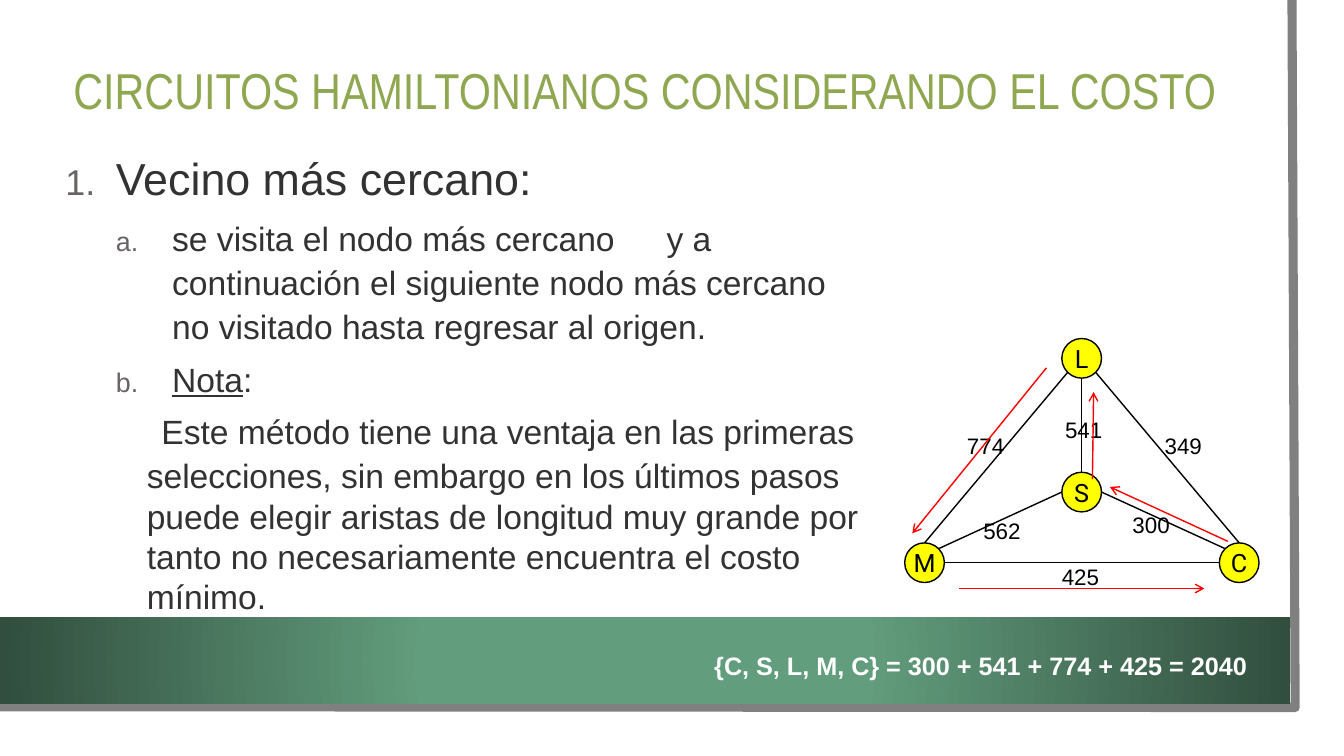
from math import cos, radians, sin

from lxml import etree
from pptx import Presentation
from pptx.dml.color import RGBColor
from pptx.enum.shapes import MSO_CONNECTOR, MSO_SHAPE
from pptx.enum.text import MSO_ANCHOR, MSO_AUTO_SIZE, PP_ALIGN
from pptx.oxml.ns import qn
from pptx.util import Cm, Pt

LINE = MSO_CONNECTOR.STRAIGHT
OVAL, RECT = MSO_SHAPE.OVAL, MSO_SHAPE.RECTANGLE
TOP, MIDDLE = MSO_ANCHOR.TOP, MSO_ANCHOR.MIDDLE
LEFT, CENTER = PP_ALIGN.LEFT, PP_ALIGN.CENTER
INK, RED, BLACK = "323232", "FF0000", "000000"

SIZE = 1.0  # node diameter, cm
NODES = {"L": (4.46, 0.5), "S": (4.46, 3.87), "M": (0.5, 5.65), "C": (8.43, 5.65)}
# each end: node and the angle of its contact point, clockwise from the right
EDGES = [
    (("S", 270), ("L", 90)),
    (("S", 0), ("C", 225)),
    (("S", 180), ("M", 315)),
    (("M", 0), ("C", 180)),
    (("L", 135), ("M", 270)),
    (("L", 45), ("C", 270)),
]
COSTS = {
    "349": (6.55, 2.37), "425": (3.96, 5.67), "774": (1.57, 2.37),
    "562": (1.98, 4.5), "541": (4.04, 1.96), "300": (5.74, 4.35),
}
ROUTE = [
    ((8.14, 5.11), (5.17, 3.74)),
    ((4.73, 3.54), (4.76, 1.35)),
    ((3.57, 0.74), (0.19, 4.91)),
    ((1.38, 6.3), (7.55, 6.3)),
]


def color(code):
    return RGBColor.from_string(code)


def add_sub(parent, tag, **attrs):
    return etree.SubElement(parent, qn(tag), attrs)


def set_font(para, name, size, code, bold=False):
    font = para.font
    font.name, font.size, font.bold = name, Pt(size), bold
    font.color.rgb = color(code)


def set_frame(frame, anchor=TOP, wrap=True):
    frame.margin_left = frame.margin_right = 0
    frame.margin_top = frame.margin_bottom = 0
    frame.auto_size = MSO_AUTO_SIZE.NONE
    frame.vertical_anchor, frame.word_wrap = anchor, wrap


def add_text(slide, box, text, name, size, code, bold=False):
    frame = slide.shapes.add_textbox(*map(Cm, box)).text_frame
    set_frame(frame, wrap=False)
    frame.text = text
    set_font(frame.paragraphs[0], name, size, code, bold)


def add_line(slide, start, end, code, head=False):
    line = slide.shapes.add_connector(LINE, *map(Cm, start + end))
    line.line.color.rgb = color(code)
    line.line.width = Pt(1)
    if head:
        add_sub(line.line._get_or_add_ln(), "a:tailEnd", type="arrow")
    add_sub(line._element.spPr, "a:effectLst")


def draw_frame(slide, right, low):
    """Grey rule along the right and lower edges."""
    build = slide.shapes.build_freeform(Cm(right - 0.08), 0)
    corner, end = (Cm(right), Cm(low)), (0, Cm(low - 0.02))
    build.add_line_segments([corner, end], close=False)
    rule = build.convert_to_shape()
    rule.shadow.inherit = False
    rule.fill.background()
    rule.line.color.rgb = color("808080")
    rule.line.width = Pt(6.5)


def draw_band(slide, left, top, width, height):
    band = slide.shapes.add_shape(RECT, *map(Cm, (left, top, width, height)))
    band.shadow.inherit = False
    band.line.fill.background()
    band.fill.gradient()
    stops = zip(band.fill.gradient_stops, (0.34, 1), ("629D7D", "314E3E"))
    for stop, place, code in stops:
        stop.position = place
        stop.color.rgb = color(code)
    grad = band._element.spPr.find(qn("a:gradFill"))
    grad.remove(grad.find(qn("a:lin")))
    focus = add_sub(grad, "a:path", path="circle")
    add_sub(focus, "a:fillToRect", l="50000", t="50000", r="50000", b="50000")
    add_text(slide, (left + 18, top + 0.84, 13.77, 0.76),
             "{C, S, L, M, C} = 300 + 541 + 774 + 425 = 2040",
             "Arial", 18, "FFFFFF", True)


def draw_title(slide, left, top, width, height):
    title = slide.shapes.title
    title.left, title.top = Cm(left), Cm(top)
    title.width, title.height = Cm(width), Cm(height)
    frame = title.text_frame
    set_frame(frame, MIDDLE, wrap=False)
    frame.text = "CIRCUITOS HAMILTONIANOS CONSIDERANDO EL COSTO"
    para = frame.paragraphs[0]
    para.alignment = LEFT
    set_font(para, "Arial Narrow", 36, "8FA751")


def add_item(frame, runs, size, margin, indent, before=0, space=1.0,
             level=0, number=None, tab=None, right=0):
    """Add one paragraph; margin, indent, tab and right are in cm."""
    first = frame.paragraphs[0]
    para = frame.add_paragraph() if first.runs else first
    for text in runs:
        para.add_run().text = text
    para.level = level
    props = para._p.get_or_add_pPr()
    for key, value in (("marL", margin), ("indent", indent), ("marR", right)):
        props.set(key, str(Cm(value)))
    if number:
        tint = add_sub(props, "a:buClr")
        add_sub(tint, "a:srgbClr", val="696363")
        add_sub(props, "a:buSzPct", val="80000")
        add_sub(props, "a:buFont", typeface="Arial")
        add_sub(props, "a:buAutoNum", type=number)
    if tab:
        tabs = add_sub(props, "a:tabLst")
        add_sub(tabs, "a:tab", pos=str(Cm(tab)), algn="l")
    para.line_spacing = space
    if before:
        para.space_before = Pt(before)
    set_font(para, "Arial", size, INK)
    return para


def draw_body(slide, left, top, width, height):
    box = slide.shapes.add_textbox(*map(Cm, (left, top, width, height)))
    frame = box.text_frame
    set_frame(frame)
    add_item(frame, ["Vecino más cercano:"], 32, 1.35, -1.27,
             number="arabicPeriod")
    sub = {"level": 1, "number": "alphaLcPeriod"}
    add_item(frame, ["se visita el nodo más cercano\ty a continuación el "
                     "siguiente nodo más cercano no visitado hasta regresar "
                     "al origen."],
             24, 2.77, -1.42, 6.8, 1.1, tab=15.23, right=1.27, **sub)
    note = add_item(frame, ["Nota", ":"], 24, 2.77, -1.42, 8.6, **sub)
    note.runs[0].font.underline = True
    add_item(frame, ["Este método tiene una ventaja en las primeras"],
             24, 2.5, 0, 8.6, level=1)
    add_item(frame, ["selecciones, sin embargo en los últimos pasos puede "
                     "elegir aristas de longitud muy grande por tanto no "
                     "necesariamente encuentra el costo mínimo."],
             24, 2.13, 0, 2.9)


def draw_graph(slide, left, top):
    def place(spot):
        return left + spot[0], top + spot[1]

    def touch(end):
        """Point on the rim of a node at the given angle."""
        name, angle = end
        x, y = place(NODES[name])
        turn = radians(angle)
        return x + SIZE / 2 * cos(turn), y + SIZE / 2 * sin(turn)

    for name, spot in NODES.items():
        x, y = place(spot)
        box = (x - SIZE / 2, y - SIZE / 2, SIZE, SIZE)
        node = slide.shapes.add_shape(OVAL, *map(Cm, box))
        node.shadow.inherit = False
        node.fill.solid()
        node.fill.fore_color.rgb = color("FFFF00")
        node.line.color.rgb = color(BLACK)
        node.line.width = Pt(1)
        set_frame(node.text_frame, MIDDLE, wrap=False)
        node.text_frame.text = name
        para = node.text_frame.paragraphs[0]
        para.alignment = CENTER
        set_font(para, "Roboto", 18, BLACK)
    for start, end in EDGES:
        add_line(slide, touch(start), touch(end), BLACK)
    for cost, spot in COSTS.items():
        add_text(slide, place(spot) + (1.02, 0.69), cost, "Arial", 16, BLACK)
    for start, end in ROUTE:
        add_line(slide, place(start), place(end), RED, head=True)


def main():
    deck = Presentation()
    deck.slide_width, deck.slide_height = Cm(33.87), Cm(19.05)
    slide = deck.slides.add_slide(deck.slide_layouts[5])
    draw_frame(slide, 32.64, 17.83)
    draw_band(slide, 0, 15.56, 32.51, 2.17)
    draw_title(slide, 1.85, 1.47, 28.88, 1.55)
    draw_body(slide, 1.57, 3.79, 20.96, 11.75)
    draw_graph(slide, 22.8, 8.53)
    deck.save("out.pptx")


if __name__ == "__main__":
    main()
